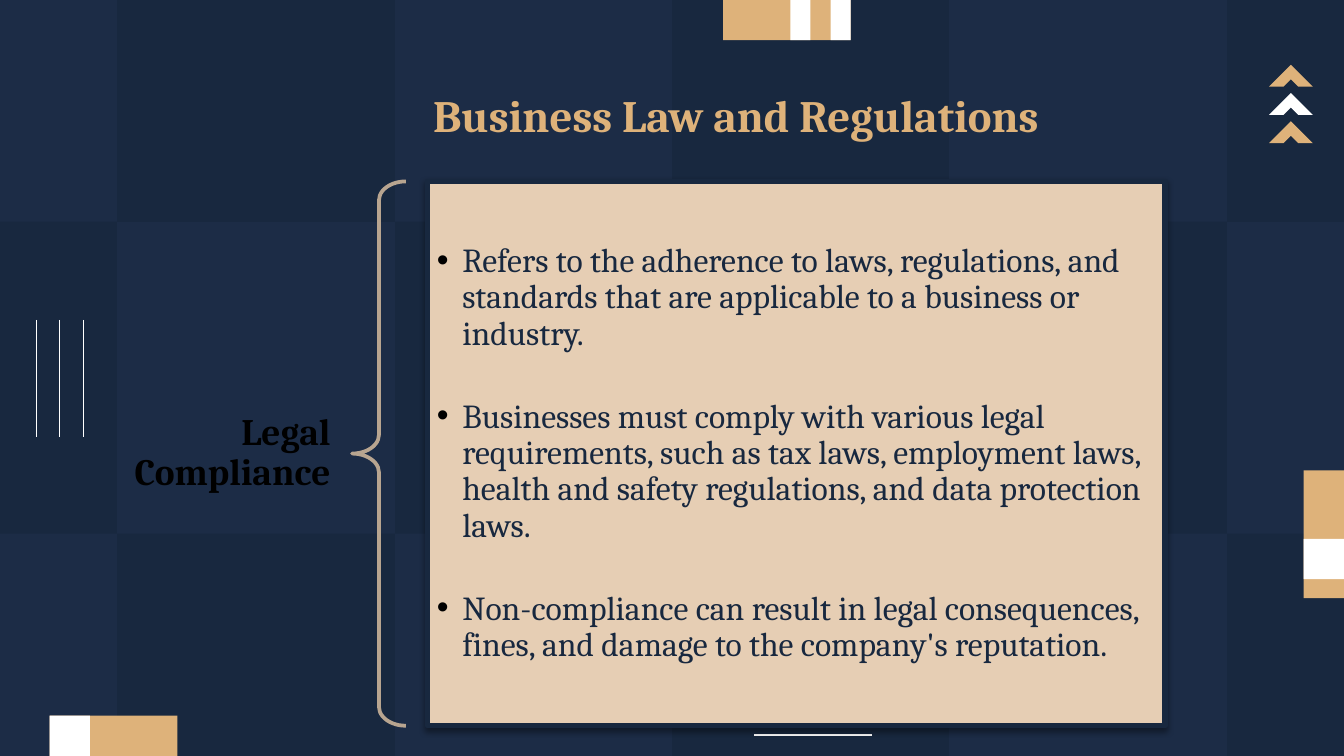
from collections import namedtuple
from dataclasses import dataclass
from itertools import pairwise

from pptx import Presentation
from pptx.dml.color import RGBColor
from pptx.enum.shapes import MSO_CONNECTOR, MSO_SHAPE
from pptx.enum.text import MSO_ANCHOR, MSO_AUTO_SIZE, PP_ALIGN
from pptx.oxml import parse_xml
from pptx.oxml.ns import nsdecls
from pptx.util import Inches, Pt

Box = namedtuple("Box", "left top width height")


@dataclass(frozen=True)
class Theme:
    navy: str = "18283F"
    tile: str = "1C2C46"
    gold: str = "DEB27A"
    white: str = "FFFFFF"
    black: str = "000000"
    sand: str = "E6CEB4"
    brace: str = "B8A590"
    font: str = "Cambria"
    title_size: int = 24
    label_size: int = 20
    body_size: int = 18


THEME = Theme()
WIDTH = 10
HEIGHT = WIDTH * 9 / 16
TITLE = "Business Law and Regulations"
TOPIC = "Legal Compliance"
POINTS = [
    "Refers to the adherence to laws, regulations, and standards that are "
    "applicable to a business or industry.",
    "Businesses must comply with various legal requirements, such as tax laws, "
    "employment laws, health and safety regulations, and data protection laws.",
    "Non-compliance can result in legal consequences, fines, and damage to the "
    "company's reputation.",
]


def rgb(color):
    return RGBColor.from_string(color)


def inches(box):
    return [Inches(value) for value in box]


def add_filled(slide, box, color, preset=MSO_SHAPE.RECTANGLE):
    shape = slide.shapes.add_shape(preset, *inches(box))
    shape.shadow.inherit = False
    shape.fill.solid()
    shape.fill.fore_color.rgb = rgb(color)
    shape.line.fill.background()
    return shape


def add_rule(slide, x1, y1, x2, y2):
    """Add a thin white line."""
    rule = slide.shapes.add_connector(MSO_CONNECTOR.STRAIGHT, *inches((x1, y1, x2, y2)))
    rule.line.color.rgb = rgb(THEME.white)
    rule.line.width = Pt(0.75)
    rule._element.spPr.append(parse_xml(f"<a:effectLst {nsdecls('a')}/>"))


def place(shape, box):
    shape.left, shape.top, shape.width, shape.height = inches(box)


def set_frame(frame, inset_x, inset_y):
    frame.word_wrap = True
    frame.auto_size = MSO_AUTO_SIZE.NONE
    frame.vertical_anchor = MSO_ANCHOR.MIDDLE
    frame.margin_left = frame.margin_right = Inches(inset_x)
    frame.margin_top = frame.margin_bottom = Inches(inset_y)


def add_run(paragraph, text, size, color, bold=False):
    run = paragraph.add_run()
    run.text = text
    run.font.name = THEME.font
    run.font.size = Pt(size)
    run.font.bold = bold
    run.font.color.rgb = rgb(color)


def add_checkerboard(slide, box):
    xs = [box.left + x for x in (0, 0.87, 2.94, 5, 7.06, 9.13, box.width)]
    ys = [box.top + y for y in (0, 1.65, 3.97, box.height)]
    covered_by_card = (1, 3)
    for row, (top, bottom) in enumerate(pairwise(ys)):
        for column, (left, right) in enumerate(pairwise(xs)):
            if (row + column) % 2 == 0 and (row, column) != covered_by_card:
                add_filled(slide, Box(left, top, right - left, bottom - top), THEME.tile)


def add_band(slide, box, stripes):
    """Add a gold band crossed by white (offset, length) stripes along its long side."""
    add_filled(slide, box, THEME.gold)
    for offset, length in stripes:
        if box.width > box.height:
            stripe = box._replace(left=box.left + offset, width=length)
        else:
            stripe = box._replace(top=box.top + offset, height=length)
        add_filled(slide, stripe, THEME.white)


def add_chevrons(slide, box):
    step = 0.21
    for index, color in enumerate((THEME.gold, THEME.white, THEME.gold)):
        corner = Box(box.left, box.top + index * step, box.width, box.width)
        chevron = add_filled(slide, corner, color, MSO_SHAPE.HALF_FRAME)
        chevron.rotation = 45


def add_side_rules(slide, box):
    for index in range(3):
        x = box.left + index * box.width / 2
        add_rule(slide, x, box.top, x, box.top + box.height)


def add_title(slide, box):
    title = slide.shapes.title
    slide.shapes.element.append(title.element)  # bring in front of the decoration
    place(title, box)
    set_frame(title.text_frame, 0.1, 0.08)
    paragraph = title.text_frame.paragraphs[0]
    paragraph.alignment = PP_ALIGN.CENTER
    add_run(paragraph, TITLE, THEME.title_size, THEME.gold, bold=True)


def add_topic(slide, box):
    """Add the topic name and the brace that ties it to its card."""
    brace_width = 0.4
    label_width = box.width - brace_width
    label = slide.shapes.add_textbox(*inches((box.left, box.top + 1.32, label_width, 1.41)))
    set_frame(label.text_frame, 0.16, 0.06)
    paragraph = label.text_frame.paragraphs[0]
    paragraph.alignment = PP_ALIGN.RIGHT
    paragraph.line_spacing = 0.9
    add_run(paragraph, TOPIC, THEME.label_size, THEME.black, bold=True)

    brace_box = Box(box.left + label_width, box.top, brace_width, box.height)
    brace = slide.shapes.add_shape(MSO_SHAPE.LEFT_BRACE, *inches(brace_box))
    brace.shadow.inherit = False
    brace.adjustments[0] = 0.35
    brace.fill.background()
    brace.line.color.rgb = rgb(THEME.brace)
    brace.line.width = Pt(2)


def add_bullet(paragraph):
    properties = paragraph._p.get_or_add_pPr()
    properties.set("marL", str(Inches(0.19)))
    properties.set("indent", str(-Inches(0.19)))
    for xml in (
        f'<a:buClr {nsdecls("a")}><a:srgbClr val="{THEME.black}"/></a:buClr>',
        f'<a:buChar {nsdecls("a")} char="•"/>',
    ):
        properties.append(parse_xml(xml))


def add_card(slide, box):
    card = add_filled(slide, box, THEME.sand)
    card.line.color.rgb = rgb(THEME.navy)
    card.line.width = Pt(3)
    shadow = parse_xml(
        f'<a:outerShdw {nsdecls("a")} blurRad="{Pt(3.1)}" dist="{Pt(1.6)}" dir="5400000" '
        f'rotWithShape="0"><a:srgbClr val="{THEME.black}"><a:alpha val="38000"/>'
        "</a:srgbClr></a:outerShdw>"
    )
    card._element.spPr.find("{*}effectLst").append(shadow)

    body = slide.placeholders[1]
    slide.shapes.element.append(body.element)
    place(body, box)
    frame = body.text_frame
    set_frame(frame, 0.07, 0.07)
    for index, point in enumerate(POINTS):
        paragraph = frame.add_paragraph() if index else frame.paragraphs[0]
        paragraph.level = 1
        paragraph.line_spacing = 0.9
        paragraph.space_before = Pt(25 if index else 0)
        paragraph.space_after = Pt(0)
        add_bullet(paragraph)
        add_run(paragraph, point, THEME.body_size, THEME.navy)


def main():
    presentation = Presentation()
    presentation.slide_width, presentation.slide_height = Inches(WIDTH), Inches(HEIGHT)
    slide = presentation.slides.add_slide(presentation.slide_layouts[1])
    slide.background.fill.solid()
    slide.background.fill.fore_color.rgb = rgb(THEME.navy)

    add_checkerboard(slide, Box(0, 0, WIDTH, HEIGHT))
    add_rule(slide, 6.49, 5.47, 5.61, 5.47)
    add_side_rules(slide, Box(0.27, 2.38, 0.35, 0.87))
    add_band(slide, Box(5.38, 0, 0.95, 0.3), [(0.8, 0.15), (0.5, 0.15)])
    add_band(slide, Box(0.37, HEIGHT - 0.3, 0.95, 0.3), [(0, 0.3)])
    add_band(slide, Box(WIDTH - 0.3, 3.5, 0.3, 0.95), [(0.51, 0.3)])
    add_chevrons(slide, Box(9.49, 0.53, 0.23, 0.65))
    add_title(slide, Box(1.26, 0.54, 8.43, 0.63))
    add_topic(slide, Box(0.6, 1.35, 2.42, 4.05))
    add_card(slide, Box(3.18, 1.35, 5.49, 4.05))
    presentation.save("out.pptx")


if __name__ == "__main__":
    main()
